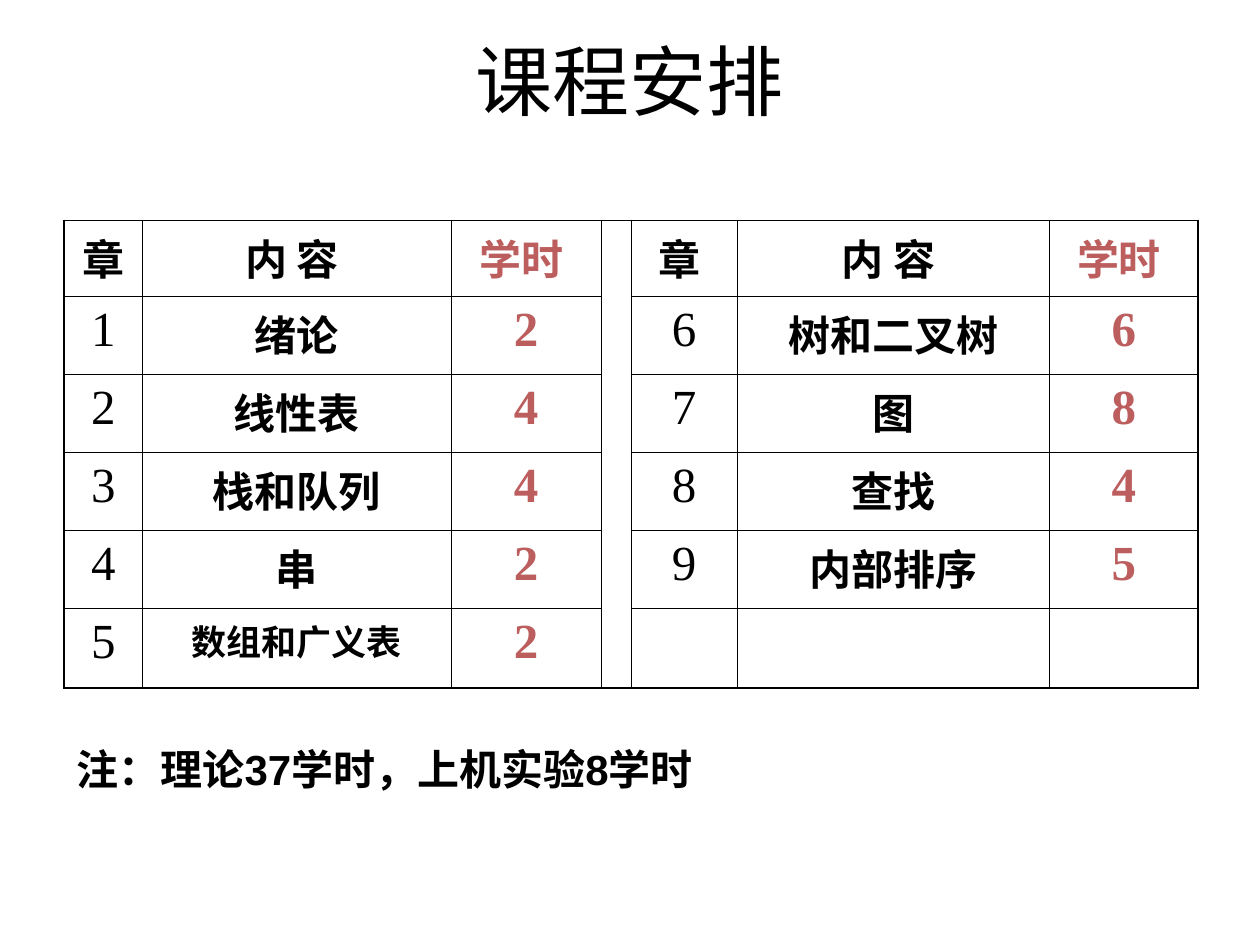
from dataclasses import dataclass

from lxml.etree import SubElement
from pptx import Presentation
from pptx.dml.color import RGBColor
from pptx.enum.text import MSO_ANCHOR, PP_ALIGN
from pptx.oxml.ns import qn
from pptx.table import Table, _Cell
from pptx.text.text import TextFrame
from pptx.util import Inches, Pt

BLACK = RGBColor(0x00, 0x00, 0x00)
RED = RGBColor(0xBC, 0x5E, 0x5E)
SANS = "Noto Sans CJK SC"
SERIF = "Times New Roman"
THIN, THICK = 0.45, 1.08
WIDTHS = (0.62, 2.45, 1.19, 0.24, 0.84, 2.48, 1.18)
HEIGHTS = (0.6, 0.62, 0.62, 0.62, 0.62, 0.63)
GAP = 3


@dataclass(frozen=True)
class Topic:
    number: str
    name: str
    hours: str
    size: int = 24


@dataclass(frozen=True)
class Panel:
    start: int
    heads: tuple[str, ...]
    topics: tuple[Topic, ...]


PANELS = (
    Panel(0, ("章", "内 容 ", "学时 "), (
        Topic("1", "绪论", "2"),
        Topic("2", "线性表", "4"),
        Topic("3", "栈和队列", "4"),
        Topic("4", "串", "2"),
        Topic("5", "数组和广义表", "2", 20),
    )),
    Panel(GAP + 1, ("章 ", "内 容 ", "学时 "), (
        Topic("6", "树和二叉树", "6"),
        Topic("7", "图", "8"),
        Topic("8", "查找", "4"),
        Topic("9", "内部排序", "5"),
    )),
)


def write(frame: TextFrame, text: str, *, size: int = 24, font: str = SERIF,
          color: RGBColor = BLACK, bold: bool = True,
          align: PP_ALIGN = PP_ALIGN.CENTER) -> None:
    frame.word_wrap = True
    line = frame.paragraphs[0]
    line.alignment = align
    run = line.add_run()
    run.text = text
    run.font.size = Pt(size)
    run.font.name = font
    run.font.bold = bold
    run.font.color.rgb = color
    SubElement(run.font._element, qn("a:ea"), typeface=SANS)


def border(cell: _Cell, sides: dict[str, float]) -> None:
    props = cell._tc.get_or_add_tcPr()
    for spot, side in enumerate(s for s in "LRTB" if s in sides):
        line = SubElement(props, qn(f"a:ln{side}"), w=str(Pt(sides[side])))
        fill = SubElement(line, qn("a:solidFill"))
        SubElement(fill, qn("a:srgbClr"), val=str(BLACK))
        props.insert(spot, line)


def frame_cells(table: Table) -> None:
    last_row, last_col = len(HEIGHTS) - 1, len(WIDTHS) - 1
    for row in range(last_row + 1):
        for col in range(last_col + 1):
            cell = table.cell(row, col)
            cell.fill.background()
            sides = {
                "L": THICK if col == 0 else THIN,
                "R": THICK if col == last_col else THIN,
                "T": THICK if row == 0 else THIN,
                "B": THICK if row == last_row else THIN,
            }
            if col == GAP:
                sides["B"] = THICK
                if row > 0:
                    del sides["T"]
                if 0 < row < last_row:
                    del sides["B"]
            border(cell, sides)


def fill_panel(table: Table, panel: Panel) -> None:
    colors = (BLACK, BLACK, RED)
    for step, (head, color) in enumerate(zip(panel.heads, colors)):
        write(table.cell(0, panel.start + step).text_frame, head, color=color)
    for row, topic in enumerate(panel.topics, 1):
        number, name, hours = (
            table.cell(row, panel.start + step).text_frame for step in range(3))
        write(number, topic.number, size=28, bold=False)
        write(name, topic.name, size=topic.size)
        write(hours, topic.hours, size=28, color=RED)


def main() -> None:
    deck = Presentation()
    deck.slide_width, deck.slide_height = Inches(10), Inches(7.5)
    slide = deck.slides.add_slide(deck.slide_layouts[5])

    title = slide.shapes.title
    title.left, title.top = Inches(0.5), Inches(0.3)
    title.width, title.height = Inches(9), Inches(1.25)
    title.text_frame.vertical_anchor = MSO_ANCHOR.TOP
    write(title.text_frame, "课程安排", size=44, font=SANS, bold=False)
    title.text_frame.paragraphs[0].line_spacing = 0.9

    table = slide.shapes.add_table(
        len(HEIGHTS), len(WIDTHS), Inches(0.51), Inches(1.75),
        Inches(sum(WIDTHS)), Inches(sum(HEIGHTS))).table
    table.first_row = table.horz_banding = False
    for column, width in zip(table.columns, WIDTHS):
        column.width = Inches(width)
    for row, height in zip(table.rows, HEIGHTS):
        row.height = Inches(height)
    table.cell(0, GAP).merge(table.cell(len(HEIGHTS) - 1, GAP))
    frame_cells(table)
    for panel in PANELS:
        fill_panel(table, panel)

    note = slide.shapes.add_textbox(
        Inches(0.51), Inches(5.85), Inches(8.51), Inches(0.5))
    write(note.text_frame, "注：理论37学时，上机实验8学时",
          font="Arial", align=PP_ALIGN.LEFT)
    deck.save("out.pptx")


if __name__ == "__main__":
    main()
